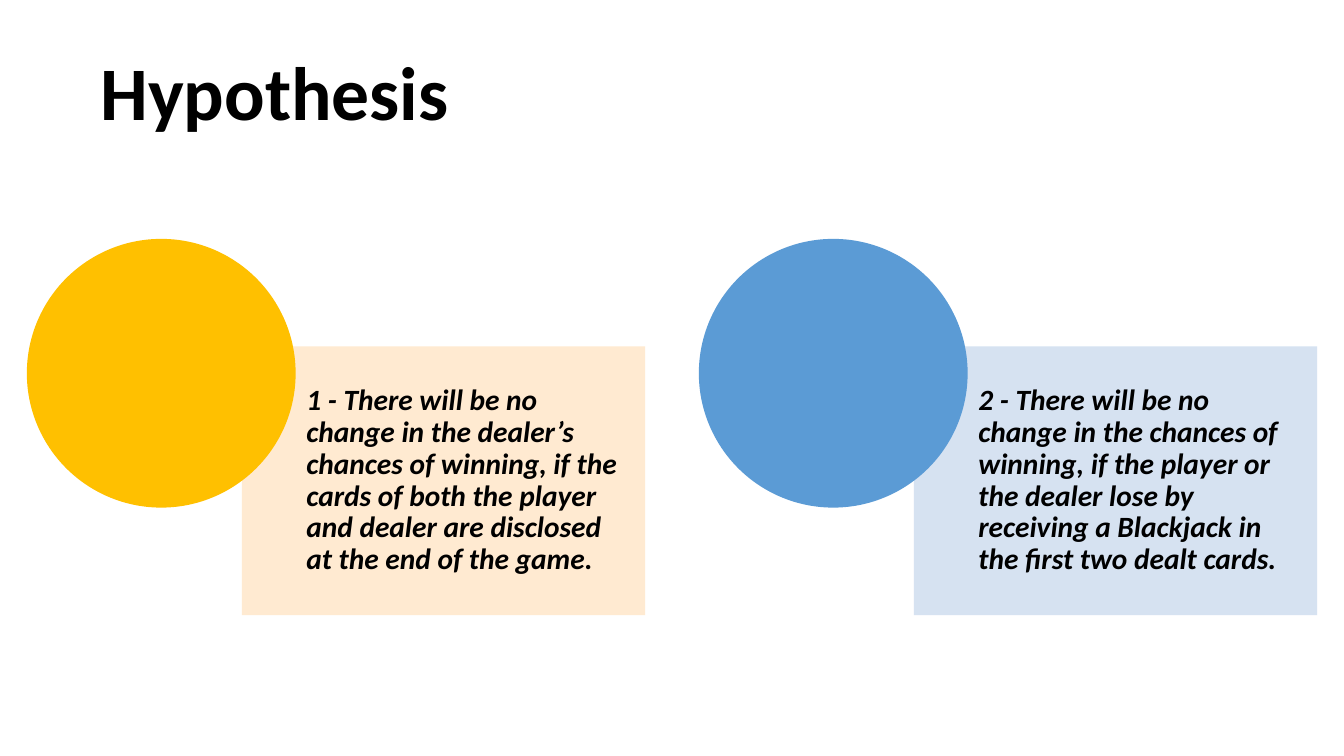
from lxml.etree import SubElement
from pptx import Presentation
from pptx.dml.color import RGBColor
from pptx.enum.shapes import MSO_SHAPE
from pptx.enum.text import MSO_ANCHOR, MSO_AUTO_SIZE, PP_ALIGN
from pptx.oxml.ns import qn
from pptx.util import Inches, Pt

COLORS = {
    "text": "000000",
    "gold": "FFC000",
    "cream": "FFE8CC",
    "blue": "5B9BD5",
    "mist": "D2DFF0",
}
FONT = "Calibri"
COLUMNS = 50
HYPOTHESES = [
    ("gold", "cream",
     "1 - There will be no change in the dealer’s chances of winning, if the "
     "cards of both the player and dealer are disclosed at the end of the game."),
    ("blue", "mist",
     "2 - There will be no change in the chances of winning, if the player or "
     "the dealer lose by receiving a Blackjack in the first two dealt cards."),
]


def write(frame, text, size, italic=False, align=PP_ALIGN.LEFT, spacing=1.0, after=0):
    para = frame.paragraphs[0]
    para.alignment = align
    para.line_spacing = spacing
    para.space_after = Pt(after)
    span = para.add_run()
    span.text = text
    span.font.name = FONT
    span.font.size = Pt(size)
    span.font.bold = True
    span.font.italic = italic
    span.font.color.rgb = RGBColor.from_string(COLORS["text"])


class HypothesisPage:
    def __init__(self, deck):
        self.page = deck.slides.add_slide(deck.slide_layouts[5])
        self.unit = deck.slide_width / COLUMNS

    def place(self, *cells):
        return [round(cell * self.unit) for cell in cells]

    def title(self, text, *cells):
        box = self.page.shapes.title
        box.left, box.top, box.width, box.height = self.place(*cells)
        frame = box.text_frame
        frame.word_wrap = False
        frame.auto_size = MSO_AUTO_SIZE.SHAPE_TO_FIT_TEXT
        frame.vertical_anchor = MSO_ANCHOR.TOP
        write(frame, text, 54, align=PP_ALIGN.CENTER)

    def shape(self, kind, color, *cells, opacity=100):
        shape = self.page.shapes.add_shape(kind, *self.place(*cells))
        shape.shadow.inherit = False
        shape.line.fill.background()
        shape.fill.solid()
        shape.fill.fore_color.rgb = RGBColor.from_string(COLORS[color])
        if opacity < 100:
            tint = next(shape.fill._xPr.iter(qn("a:srgbClr")))
            SubElement(tint, qn("a:alpha"), val=str(opacity * 1000))

    def statement(self, text, *cells):
        frame = self.page.shapes.add_textbox(*self.place(*cells)).text_frame
        frame.word_wrap = True
        frame.vertical_anchor = MSO_ANCHOR.MIDDLE
        frame.margin_left = 0
        frame.margin_top = frame.margin_right = frame.margin_bottom = Inches(0.16)
        write(frame, text, 21, italic=True, spacing=0.9, after=7.35)

    def hypothesis(self, column, row, circle, panel, text):
        self.shape(MSO_SHAPE.RECTANGLE, panel, column + 8, row + 4, 15, 10, opacity=90)
        self.statement(text, column + 10.4, row + 4, 12.6, 10)
        self.shape(MSO_SHAPE.OVAL, circle, column, row, 10, 10)


def main():
    deck = Presentation()
    deck.slide_width = Inches(13.33)
    deck.slide_height = Inches(7.5)
    page = HypothesisPage(deck)
    page.title("Hypothesis", 3.3, 1.5, 13.84, 3.79)
    for index, content in enumerate(HYPOTHESES):
        page.hypothesis(1 + index * COLUMNS / 2, 8.89, *content)
    deck.save("out.pptx")


if __name__ == "__main__":
    main()
